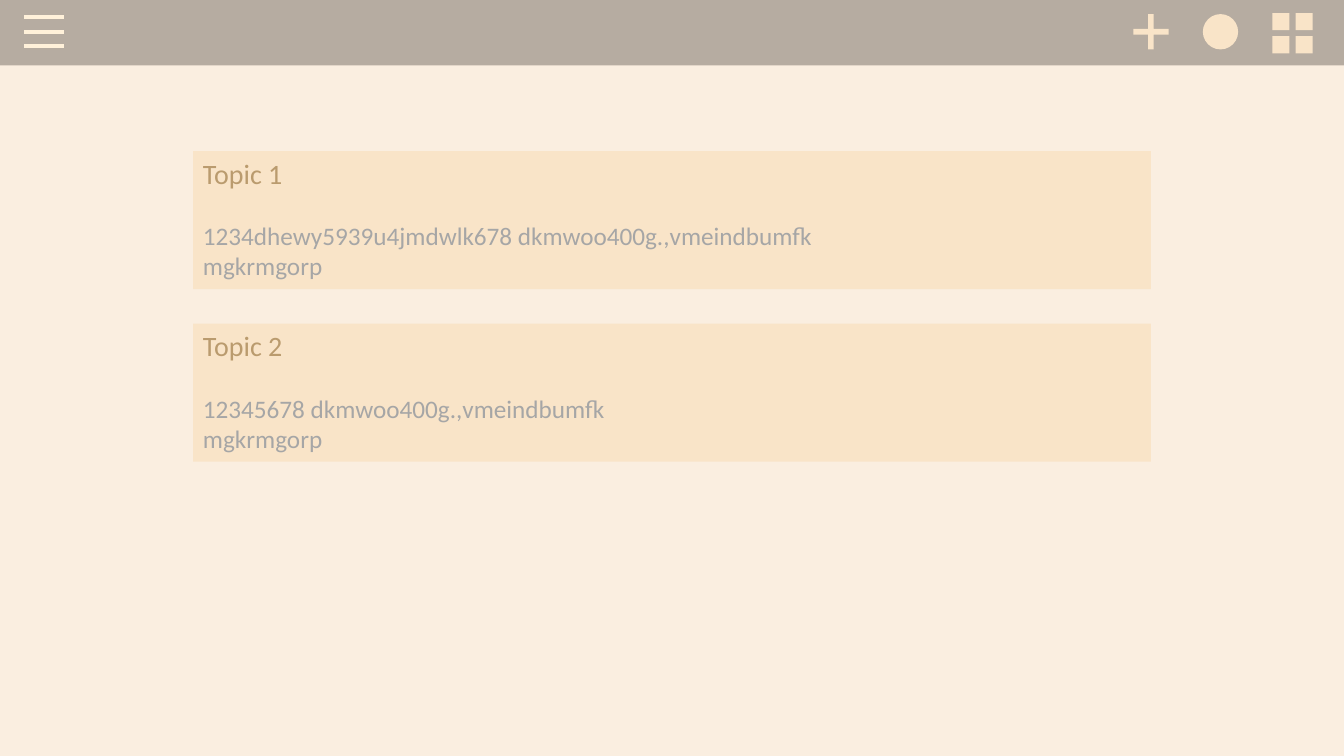
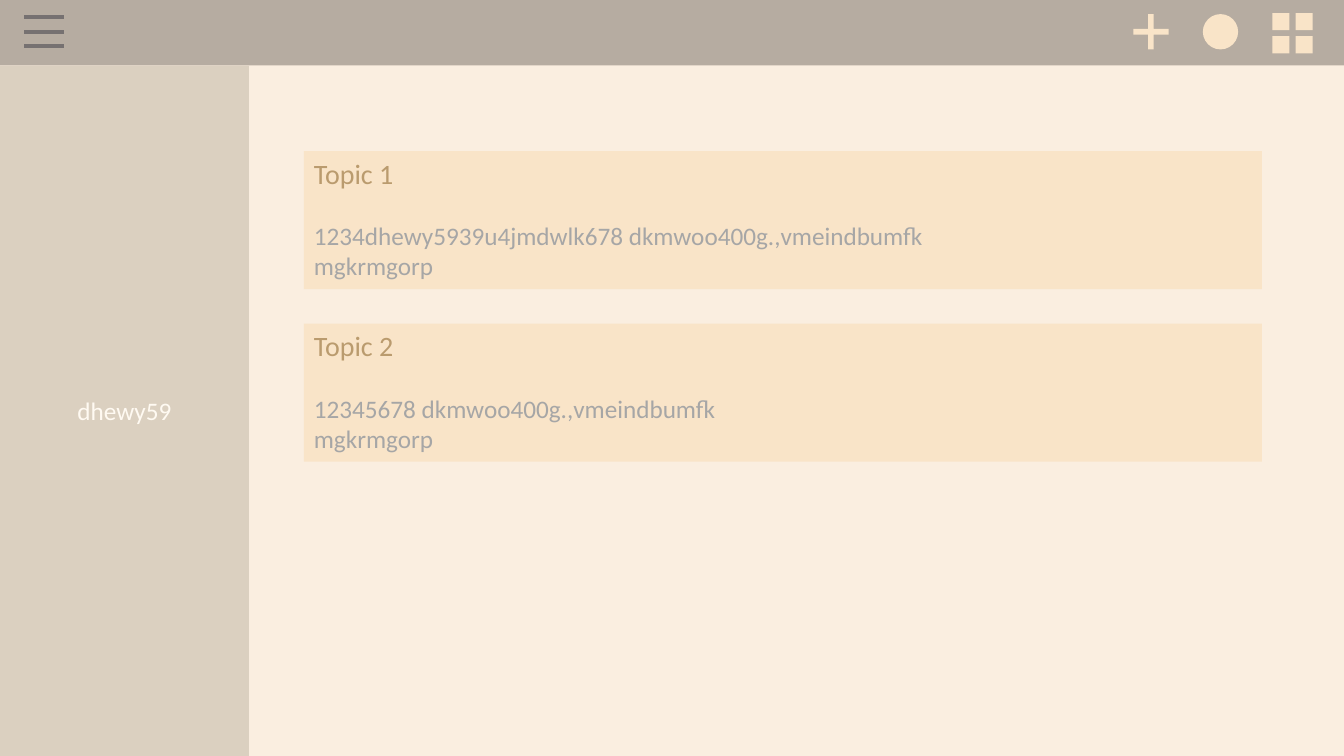
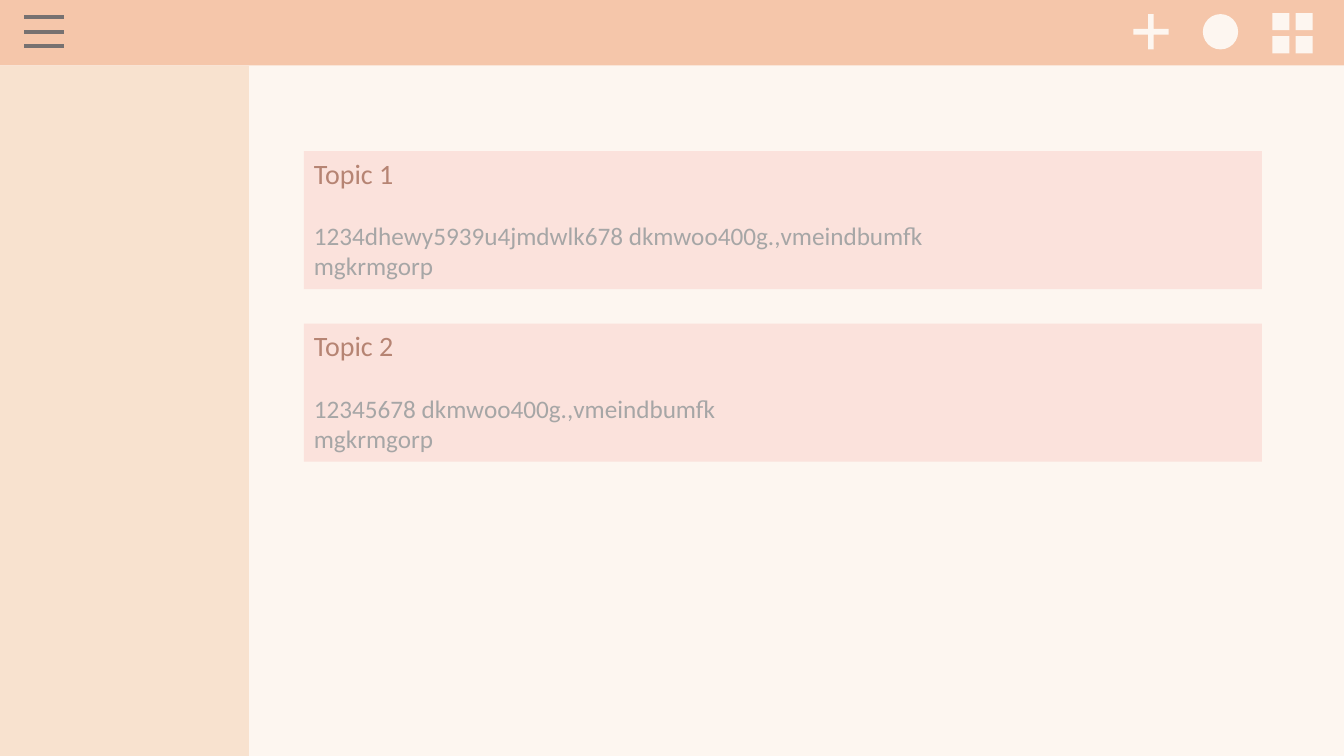
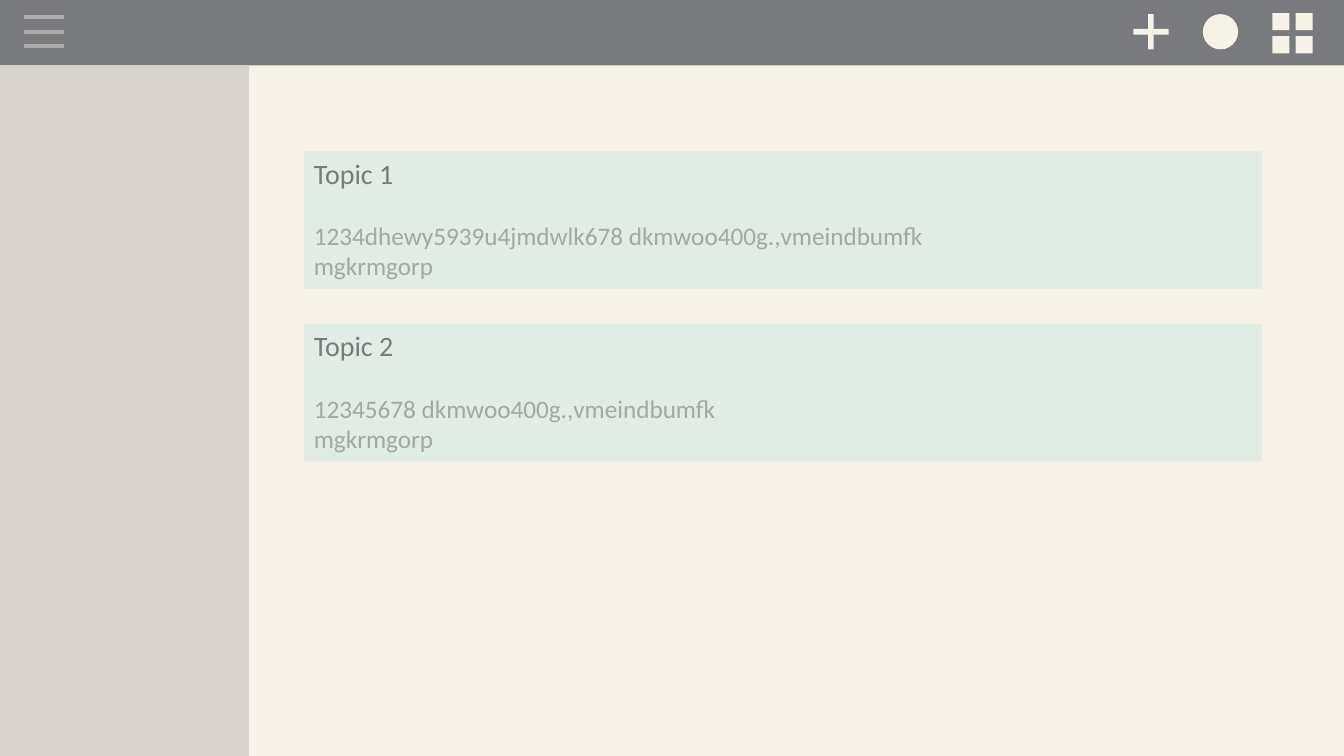
from lxml import etree
from pptx import Presentation
from pptx import util as u
from pptx.dml.color import RGBColor
from pptx.enum import shapes, text
from pptx.oxml import ns

# Content
TOPICS = [
    ("Topic 1", ["1234dhewy5939u4jmdwlk678 dkmwoo400g.,vmeindbumfk", "mgkrmgorp"]),
    ("Topic 2", ["12345678 dkmwoo400g.,vmeindbumfk", "mgkrmgorp"]),
]

# Themes
SAND = dict(back="FAEEE0", bar="B6ACA1", icon="F9E4C8", menu="FFF1DA",
            card="F9E4C8", heading="BA9B6E")
PEACH = dict(back="FDF6F0", bar="F5C6AA", icon="FDF6F0", menu="767171",
             card="FBE2DC", heading="B68473", side="F8E2CF")
SLATE = dict(back="F7F2E7", bar="797A7E", icon="F7F2E7", menu="AFABAB",
             card="E0ECE4", heading="797A7E", side="D8D3CD")
BODY, SIDE_TEXT, FONT = "A6A6A6", "FFFAF2", "Calibri"

# One entry a slide: theme and sidebar label
SCREENS = [
    (SAND, ""),
    (SAND | dict(menu="767171", side="DBD0C0"), "dhewy59"),
    (PEACH, ""),
    (SLATE, ""),
]

# Layout in inches
WIDTH, HEIGHT = 13.33, 7.5
BAR = 0.65
SIDE = 2.47
CARD_WIDTH, CARD_HEIGHT, CARD_TOP, CARD_STEP = 9.5, 1.37, 1.5, 1.71
CARD_SHIFT = 1.1
ICON, ICON_TOP, PLUS_LEFT, ICON_STEP = 0.35, 0.14, 11.24, 0.69
TILE, TILE_LEFT, TILE_TOP, TILE_STEP = 0.17, 12.62, 0.13, 0.23
MENU_LEFT, MENU_RIGHT, MENU_TOP, MENU_STEP = 0.24, 0.63, 0.17, 0.145

RECTANGLE = shapes.MSO_SHAPE.RECTANGLE


def color(value):
    return RGBColor.from_string(value)


def add_block(parent, left, top, width, height, fill, kind=RECTANGLE):
    block = parent.shapes.add_shape(kind, *map(u.Inches, (left, top, width, height)))
    block.shadow.inherit = False
    block.fill.solid()
    block.fill.fore_color.rgb = color(fill)
    block.line.fill.background()
    return block


def add_line(parent, x1, y1, x2, y2, stroke, weight):
    line = parent.shapes.add_connector(
        shapes.MSO_CONNECTOR.STRAIGHT, *map(u.Inches, (x1, y1, x2, y2)))
    line.line.color.rgb = color(stroke)
    line.line.width = u.Pt(weight)
    etree.SubElement(line._element.spPr, ns.qn("a:effectLst"))


def write(para, words, size=18, fill=BODY, align=text.PP_ALIGN.LEFT, after=0):
    para.alignment = align
    para.space_after = u.Pt(after)
    span = para.add_run()
    span.text = words
    span.font.name = FONT
    span.font.size = u.Pt(size)
    span.font.color.rgb = color(fill)


def add_bar(page, theme):
    add_block(page, 0, 0, WIDTH, BAR, theme["bar"])

    # Plus and round icons
    plus = add_block(page, PLUS_LEFT, ICON_TOP, ICON, ICON, theme["icon"],
                     shapes.MSO_SHAPE.CROSS)
    plus.adjustments[0] = 0.42
    add_block(page, PLUS_LEFT + ICON_STEP, ICON_TOP, ICON, ICON, theme["icon"],
              shapes.MSO_SHAPE.OVAL)

    # Menu icon
    menu = page.shapes.add_group_shape()
    for row in range(3):
        y = MENU_TOP + row * MENU_STEP
        add_line(menu, MENU_LEFT, y, MENU_RIGHT, y, theme["menu"], 3)

    # Tiles icon
    tiles = page.shapes.add_group_shape()
    for index in range(4):
        row, column = divmod(index, 2)
        add_block(tiles, TILE_LEFT + column * TILE_STEP, TILE_TOP + row * TILE_STEP,
                  TILE, TILE, theme["icon"])


def add_cards(page, theme):
    left = (WIDTH - CARD_WIDTH) / 2 + ("side" in theme) * CARD_SHIFT
    cards = page.shapes.add_group_shape()
    for row, (heading, lines) in enumerate(TOPICS):
        card = add_block(cards, left, CARD_TOP + row * CARD_STEP,
                         CARD_WIDTH, CARD_HEIGHT, theme["card"])
        frame = card.text_frame
        frame.word_wrap = True
        frame.vertical_anchor = text.MSO_ANCHOR.TOP
        write(frame.paragraphs[0], heading, size=20, fill=theme["heading"], after=22)
        for line in lines:
            write(frame.add_paragraph(), line)


def add_sidebar(page, theme, label):
    side = add_block(page, 0, BAR, SIDE, HEIGHT - BAR, theme["side"])
    if label:
        side.text_frame.vertical_anchor = text.MSO_ANCHOR.MIDDLE
        write(side.text_frame.paragraphs[0], label, fill=SIDE_TEXT,
              align=text.PP_ALIGN.CENTER)


# Build the slides
deck = Presentation()
deck.slide_width, deck.slide_height = u.Inches(WIDTH), u.Inches(HEIGHT)
for theme, label in SCREENS:
    page = deck.slides.add_slide(deck.slide_layouts[6])
    page.background.fill.solid()
    page.background.fill.fore_color.rgb = color(theme["back"])
    add_bar(page, theme)
    add_cards(page, theme)
    if "side" in theme:
        add_sidebar(page, theme, label)
deck.save("out.pptx")
